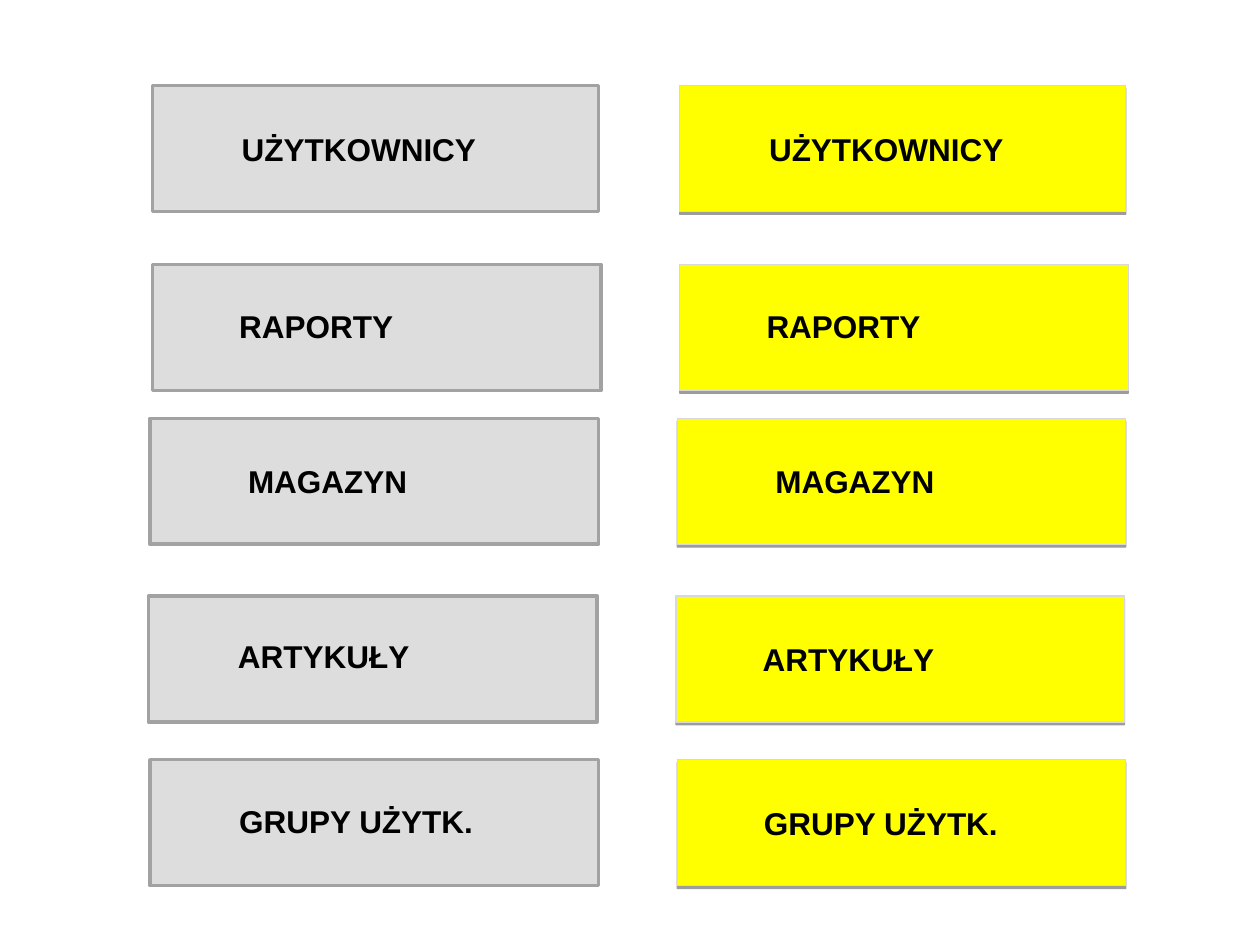
from dataclasses import dataclass

from lxml import etree
from pptx import Presentation
from pptx import util as u
from pptx.dml.color import RGBColor
from pptx.enum import shapes, text
from pptx.oxml.ns import qn

GREY = RGBColor(0xDD, 0xDD, 0xDD)
EDGE = RGBColor(0xA2, 0xA2, 0xA2)
YELLOW = RGBColor(0xFF, 0xFF, 0x00)
PALE = RGBColor(0xD8, 0xD8, 0xD8)
BLACK = RGBColor(0, 0, 0)

# Grid of 100 columns by 75 rows
COLS, ROWS = 100, 75
WIDE, HIGH = u.Inches(10), u.Inches(7.5)
BOX_H, TEXT_H = 10, 4


@dataclass(frozen=True)
class Style:
    shift: float  # columns from the left stack
    fill: RGBColor
    line: RGBColor
    weight: float
    shade: bool


@dataclass(frozen=True)
class Button:
    label: str
    col: float
    row: float
    width: float
    pads: tuple  # label offset (columns, rows) per style
    spans: tuple = (23.2, 23.2)  # label width per style


STYLES = (
    Style(0, GREY, EDGE, 2, False),
    Style(41.85, YELLOW, PALE, 0.75, True),
)
BUTTONS = (
    Button("UŻYTKOWNICY", 12.1, 6.8, 35.4, ((6.1, 3), (6.1, 3))),
    Button("RAPORTY", 12.1, 21, 35.6, ((5.9, 2.9), (5.9, 2.9))),
    Button("MAGAZYN", 11.9, 33.2, 35.6, ((6.8, 3), (6.8, 3))),
    Button("ARTYKUŁY", 11.8, 47.3, 35.6, ((6.1, 2.8), (5.9, 3))),
    Button("GRUPY UŻYTK.", 11.9, 60.3, 35.6, ((6.1, 2.9), (5.9, 3)),
           (25.7, 23.2)),
)


def place(col: float, row: float, wide: float, high: float) -> tuple:
    """Turn grid cells into slide lengths."""
    x, y = WIDE / COLS, HIGH / ROWS
    return int(col * x), int(row * y), int(wide * x), int(high * y)


def add_shade(shape) -> None:
    """Put a thin soft shadow straight below the shape."""
    fx = shape._element.spPr.find(qn("a:effectLst"))
    drop = etree.SubElement(fx, qn("a:outerShdw"), blurRad="0",
                            dist=str(u.Pt(1.6)), dir="5400000",
                            rotWithShape="0")
    tint = etree.SubElement(drop, qn("a:srgbClr"), val="000000")
    etree.SubElement(tint, qn("a:alpha"), val="38000")


def add_box(slide, item: Button, style: Style) -> None:
    box = slide.shapes.add_shape(
        shapes.MSO_SHAPE.RECTANGLE,
        *place(item.col + style.shift, item.row, item.width, BOX_H))
    box.fill.solid()
    box.fill.fore_color.rgb = style.fill
    box.line.color.rgb = style.line
    box.line.width = u.Pt(style.weight)
    box.shadow.inherit = False
    if style.shade:
        add_shade(box)


def add_label(slide, item: Button, style: Style, pad: tuple,
              span: float) -> None:
    col, row = item.col + style.shift + pad[0], item.row + pad[1]
    frame = slide.shapes.add_textbox(
        *place(col, row, span, TEXT_H)).text_frame
    frame.word_wrap = True
    frame.auto_size = text.MSO_AUTO_SIZE.SHAPE_TO_FIT_TEXT
    run = frame.paragraphs[0].add_run()
    run.text = item.label
    run.font.name = "Arial"
    run.font.size = u.Pt(18)
    run.font.bold = True
    run.font.color.rgb = BLACK


def main() -> None:
    deck = Presentation()
    deck.slide_width, deck.slide_height = WIDE, HIGH
    slide = deck.slides.add_slide(deck.slide_layouts[6])

    # Grey stack on the left, yellow stack on the right
    for n, style in enumerate(STYLES):
        for item in BUTTONS:
            add_box(slide, item, style)
            add_label(slide, item, style, item.pads[n], item.spans[n])

    deck.save("out.pptx")


if __name__ == "__main__":
    main()
